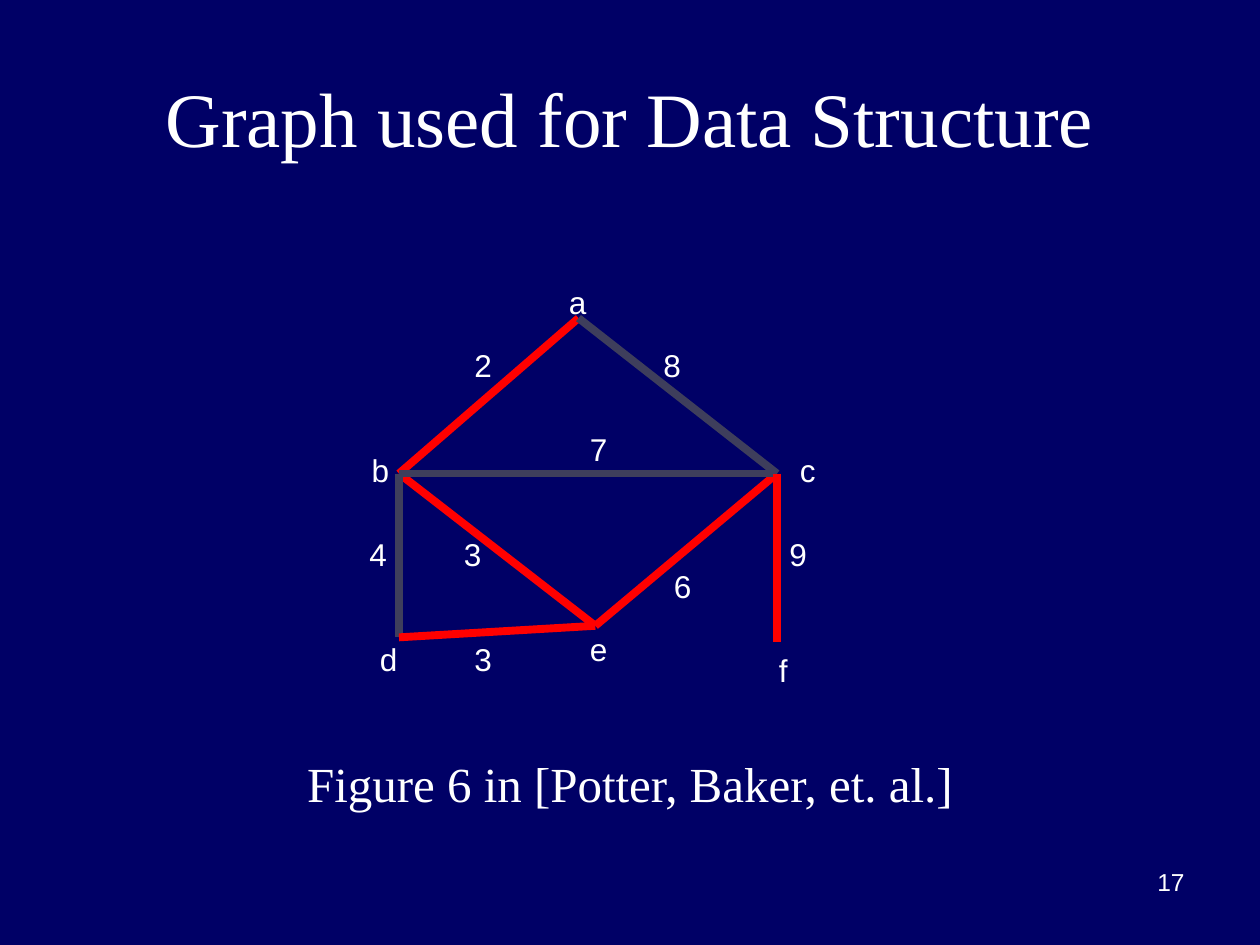
"""Build a slide showing a weighted graph with its highlighted edges."""
from typing import NamedTuple

from lxml.etree import SubElement
from pptx import Presentation
from pptx.dml.color import RGBColor as RGB
from pptx.enum.shapes import MSO_CONNECTOR as CONN
from pptx.enum.text import MSO_ANCHOR as ANCHOR, PP_ALIGN as ALIGN
from pptx.oxml.ns import qn
from pptx.util import Inches, Pt

COLS, ROWS = 120, 90
W, H = Inches(10), Inches(7.5)
COLORS = {"bg": "000066", "text": "FFFFFF", "tree": "FF0000", "other": "3E3E5C"}
SERIF, SANS = "Times New Roman", "Arial"


class Text(NamedTuple):
    text: str
    col: float
    row: float
    cols: float = 3.7
    rows: float = 4.8
    size: int = 18
    font: str = SANS
    align: ALIGN = ALIGN.LEFT
    anchor: ANCHOR = ANCHOR.TOP


class Edge(NamedTuple):
    start: str
    end: str
    color: str


NODES = {
    "a": (55.1, 30.3), "b": (38, 45.1), "c": (74, 45.1),
    "d": (38, 60.7), "e": (56.7, 59.6), "f": (74, 61.1),
}
EDGES = [
    Edge("a", "b", "tree"), Edge("a", "c", "other"), Edge("b", "e", "tree"),
    Edge("e", "c", "tree"), Edge("b", "c", "other"), Edge("b", "d", "other"),
    Edge("c", "f", "tree"), Edge("d", "e", "tree"),
]
LABELS = [
    Text("a", 53, 26.4), Text("b", 34.2, 42.4), Text("c", 75, 42.4),
    Text("d", 35, 60.4), Text("e", 55, 59.4), Text("f", 73, 61.4),
    Text("8", 62, 32.4), Text("9", 74, 50.4), Text("6", 63, 53.4),
    Text("3", 43, 50.4), Text("3", 44, 60.4), Text("4", 34, 50.4),
    Text("7", 55, 40.4), Text("2", 44, 32.4),
]
TITLE = Text("Graph used for Data Structure", 6, 3.6, 108, 15, 44, SERIF,
             ALIGN.CENTER, ANCHOR.MIDDLE)
CAPTION = Text("Figure 6 in [Potter, Baker, et. al.]", 6, 71.2, 108, 9.4, 28,
               SERIF, ALIGN.CENTER)
NUMBER = Text("17", 86, 82, 28, 6.2, 14, SANS, ALIGN.RIGHT)


def x(col: float) -> int:
    return round(W * col / COLS)


def y(row: float) -> int:
    return round(H * row / ROWS)


def draw_text(s, t: Text) -> None:
    sp = s.shapes.add_textbox(x(t.col), y(t.row), x(t.cols), y(t.rows))
    tf = sp.text_frame
    tf.word_wrap, tf.vertical_anchor = True, t.anchor
    p = tf.paragraphs[0]
    p.alignment = t.align
    r = p.add_run()
    r.text = t.text
    for name, value in {"size": Pt(t.size), "name": t.font}.items():
        setattr(r.font, name, value)
    r.font.color.rgb = RGB.from_string(COLORS["text"])


def draw_edge(s, e: Edge) -> None:
    (c1, r1), (c2, r2) = NODES[e.start], NODES[e.end]
    sp = s.shapes.add_connector(CONN.STRAIGHT, x(c1), y(r1), x(c2), y(r2))
    sp.line.width = Pt(4.5)
    sp.line.color.rgb = RGB.from_string(COLORS[e.color])
    SubElement(sp._element.spPr, qn("a:effectLst"))


def main() -> None:
    prs = Presentation()
    prs.slide_width, prs.slide_height = W, H
    s = prs.slides.add_slide(prs.slide_layouts[6])
    fill = s.background.fill
    fill.solid()
    fill.fore_color.rgb = RGB.from_string(COLORS["bg"])
    for e in EDGES:
        draw_edge(s, e)
    for t in [NUMBER, TITLE, CAPTION, *LABELS]:
        draw_text(s, t)
    prs.save("out.pptx")


if __name__ == "__main__":
    main()
